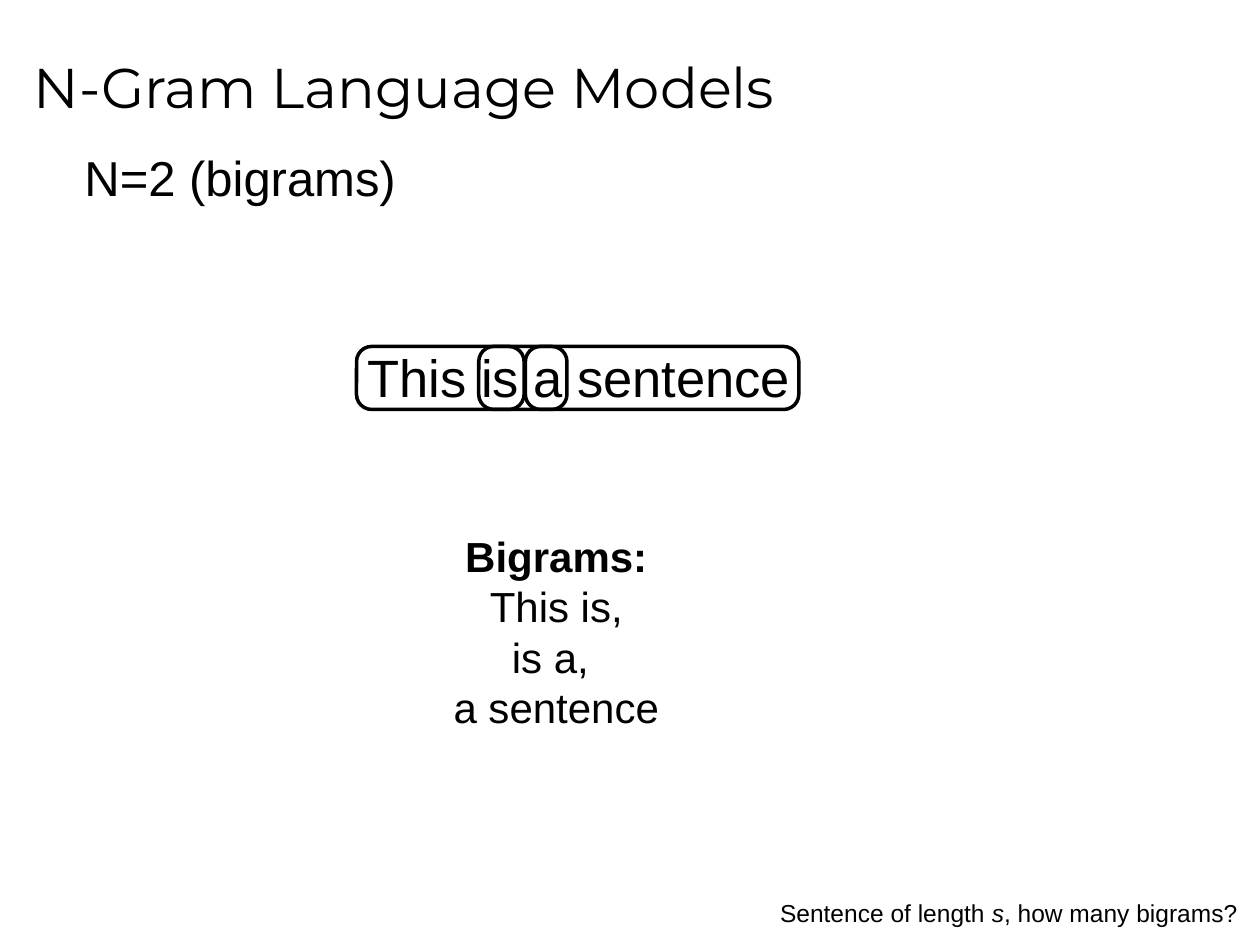
from pptx import Presentation
from pptx.dml.color import RGBColor
from pptx.enum.shapes import MSO_SHAPE
from pptx.enum.text import MSO_ANCHOR, PP_ALIGN
from pptx.util import Inches, Pt

COLORS = {"ink": "000000", "background": "FFFFFF"}
NO_INSETS = (0, 0)
INSETS = (0.1, 0.05)

# Each paragraph is a list of (text, style) runs.
TEXTS = [
    {"box": (2.9, 2.74, 3.39, 0.5), "size": 30, "align": PP_ALIGN.CENTER,
     "paragraphs": [[("This is a sentence", "")]]},
    {"box": (0.17, 0.12, 9.5, 1.12), "size": 32, "font": "Montserrat",
     "insets": INSETS, "wrap": True,
     "paragraphs": [[("N-Gram Language Models", "")]]},
    {"box": (3.58, 4.2, 1.67, 1.62), "size": 24, "align": PP_ALIGN.CENTER,
     "paragraphs": [[("Bigrams:", "bold")], [("This is,", "")],
                    [("is a, ", "")], [("a sentence", "")]]},
    {"box": (0.67, 1.17, 2.51, 0.47), "size": 28,
     "paragraphs": [[("N=2 (bigrams)", "")]]},
    {"box": (5.67, 7.08, 4.25, 0.34), "size": 14, "align": PP_ALIGN.RIGHT,
     "insets": INSETS, "wrap": True, "anchor": MSO_ANCHOR.TOP,
     "paragraphs": [[("Sentence of length ", ""), ("s", "italic"),
                     (", how many bigrams?", "")]]},
]

# Left edge and width of the outline around each bigram.
BIGRAM_OUTLINES = [(2.83, 1.33), (3.8, 0.7), (4.17, 2.17)]
OUTLINE_TOP, OUTLINE_HEIGHT = 2.75, 0.5


def color(name):
    return RGBColor.from_string(COLORS[name])


def add_text(slide, box, size, paragraphs, font="Arial", align=PP_ALIGN.LEFT,
             insets=NO_INSETS, wrap=False, anchor=MSO_ANCHOR.MIDDLE):
    frame = slide.shapes.add_textbox(*map(Inches, box)).text_frame
    frame.word_wrap = wrap
    frame.vertical_anchor = anchor
    frame.margin_left = frame.margin_right = Inches(insets[0])
    frame.margin_top = frame.margin_bottom = Inches(insets[1])
    for index, runs in enumerate(paragraphs):
        paragraph = frame.add_paragraph() if index else frame.paragraphs[0]
        paragraph.alignment = align
        for text, style in runs:
            run = paragraph.add_run()
            run.text = text
            run.font.name = font
            run.font.size = Pt(size)
            run.font.color.rgb = color("ink")
            run.font.bold = style == "bold"
            run.font.italic = style == "italic"


def add_outline(slide, left, width):
    shape = slide.shapes.add_shape(
        MSO_SHAPE.ROUNDED_RECTANGLE, Inches(left), Inches(OUTLINE_TOP),
        Inches(width), Inches(OUTLINE_HEIGHT))
    shape.adjustments[0] = 0.24
    shape.shadow.inherit = False
    shape.fill.background()
    shape.line.color.rgb = color("ink")
    shape.line.width = Pt(2)


def main():
    presentation = Presentation()
    presentation.slide_width = Inches(10)
    presentation.slide_height = Inches(7.5)
    slide = presentation.slides.add_slide(presentation.slide_layouts[6])
    slide.background.fill.solid()
    slide.background.fill.fore_color.rgb = color("background")

    sentence, *other_texts = TEXTS
    add_text(slide, **sentence)
    for left, width in BIGRAM_OUTLINES:
        add_outline(slide, left, width)
    for text in other_texts:
        add_text(slide, **text)
    presentation.save("out.pptx")


if __name__ == "__main__":
    main()
